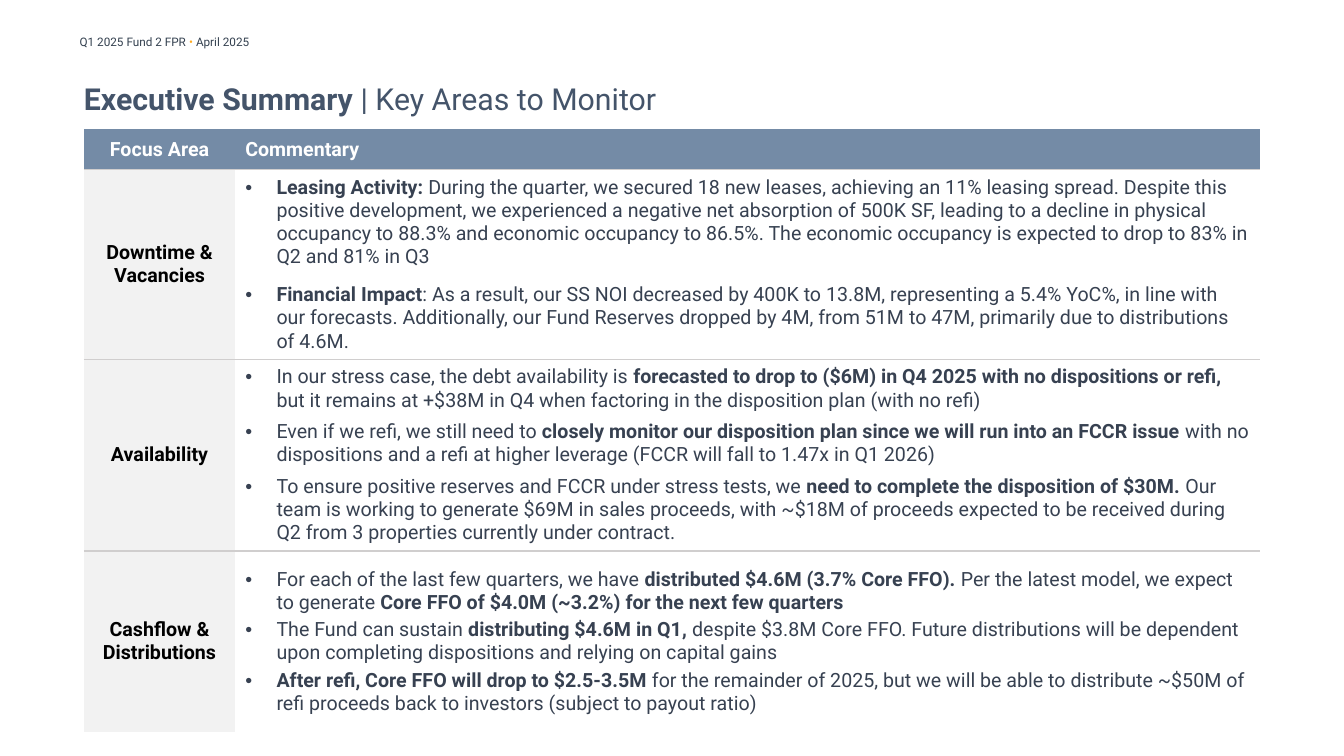
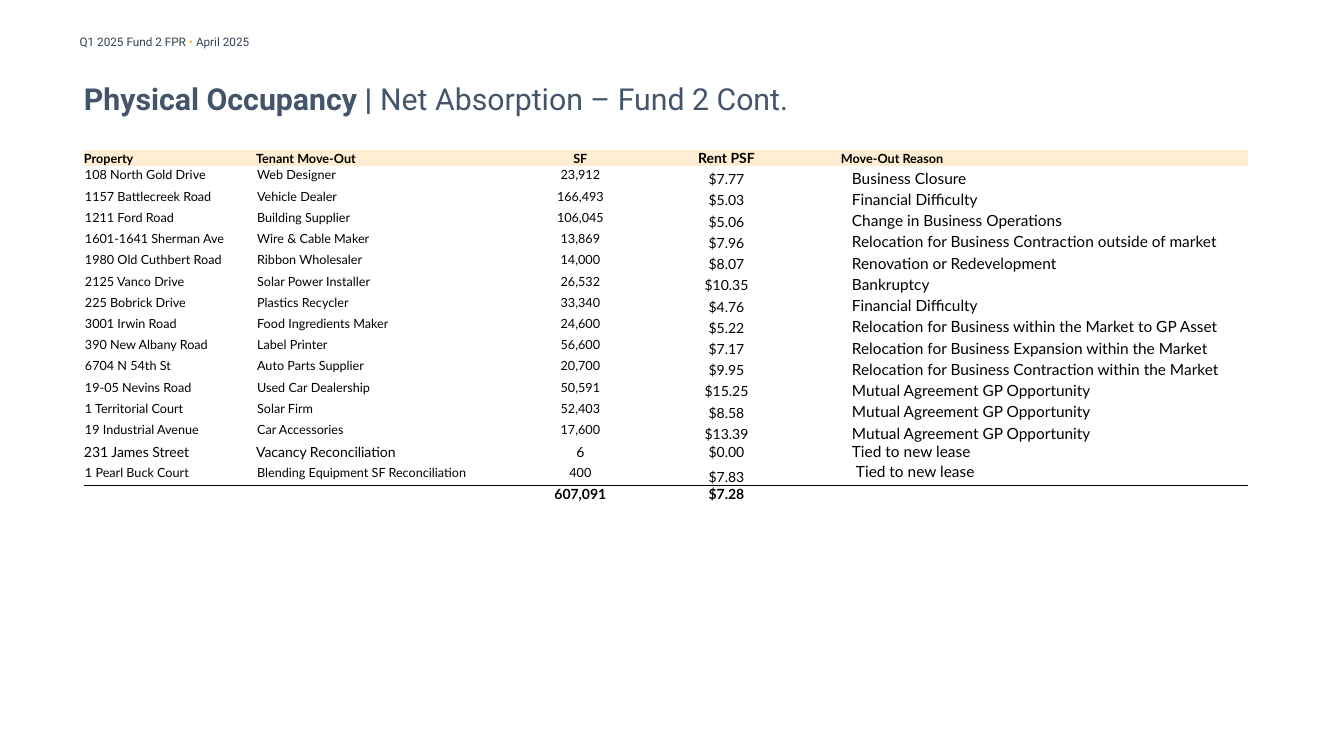
from lxml.etree import SubElement
from pptx import Presentation
from pptx.dml.color import RGBColor
from pptx.enum.text import MSO_ANCHOR, MSO_AUTO_SIZE, PP_ALIGN
from pptx.oxml import parse_xml
from pptx.oxml.ns import nsdecls, qn
from pptx.util import Inches, Pt

LEFT, CENTER = PP_ALIGN.LEFT, PP_ALIGN.CENTER
MIDDLE, BOTTOM = MSO_ANCHOR.MIDDLE, MSO_ANCHOR.BOTTOM
NO_TABLE_STYLE = "{2D5ABB26-0587-4C30-8999-92F81FD0307C}"
CELL_MARGINS = (0.1, 0.05, 0.1, 0.05)
FLUSH = (0, 0, 0, 0)
RAISED = (0.01, 0.01, 0.01, 0.05)


def color(hex_string):
    return RGBColor.from_string(hex_string)


def write(paragraph, text, font, size, ink, bold=False, align=LEFT):
    """Fill a paragraph; text between ** marks is set bold."""
    paragraph.alignment = align
    for index, part in enumerate(text.split("**")):
        if not part:
            continue
        run = paragraph.add_run()
        run.text = part
        run.font.name = font
        run.font.size = Pt(size)
        run.font.bold = bold or index % 2 == 1
        run.font.color.rgb = color(ink)


def add_bullet(paragraph, indent=0.31):
    properties = paragraph._p.get_or_add_pPr()
    properties.set("marL", str(Inches(indent)))
    properties.set("indent", str(-Inches(indent)))
    SubElement(properties, qn("a:buFont")).set("typeface", "Arial")
    SubElement(properties, qn("a:buChar")).set("char", "•")


def set_margins(target, margins):
    (target.margin_left, target.margin_top,
     target.margin_right, target.margin_bottom) = map(Inches, margins)


class Deck:
    """Shared style and the current slide, on a grid of 160 columns by 90 rows."""
    FONT, TABLE_FONT = "Roboto", "Lato"
    NAVY, SLATE, ACCENT = "44546A", "33404F", "FFAB21"
    STEEL, BODY, PALE, RULE = "748BA6", "374151", "F2F2F2", "D0CECE"
    BLACK, WHITE, CREAM = "000000", "FFFFFF", "FFEED3"

    def __init__(self):
        self.presentation = Presentation()
        self.presentation.slide_width = Inches(13.33)
        self.presentation.slide_height = Inches(7.5)
        self.layout = self.presentation.slide_layouts[5]
        self.slide = None

    def columns(self, count):
        return round(self.presentation.slide_width * count / 160)

    def rows(self, count):
        return round(self.presentation.slide_height * count / 90)

    def box(self, left, top, width, height):
        return (self.columns(left), self.rows(top),
                self.columns(width), self.rows(height))

    def add_slide(self, title):
        self.slide = self.presentation.slides.add_slide(self.layout)
        self.add_running_header()
        shape = self.slide.shapes.title
        shape.left, shape.top, shape.width, shape.height = self.box(10, 7.2, 132, 9)
        text_frame = shape.text_frame
        text_frame.auto_size = MSO_AUTO_SIZE.NONE
        text_frame.vertical_anchor = MIDDLE
        set_margins(text_frame, FLUSH)
        write(text_frame.paragraphs[0], title, self.FONT, 21.6, self.NAVY)

    def add_running_header(self):
        text_frame = self.slide.shapes.add_textbox(*self.box(8.3, 3.5, 54, 2.9)).text_frame
        text_frame.word_wrap = True
        paragraph = text_frame.paragraphs[0]
        write(paragraph, "Q1 2025 Fund 2 FPR **• **April 2025", self.FONT, 8.4, self.SLATE)
        dot = paragraph.runs[1]
        dot.font.bold = False
        dot.font.color.rgb = color(self.ACCENT)

    def add_table(self, left, top, widths, heights):
        frame = self.slide.shapes.add_table(
            len(heights), len(widths), *self.box(left, top, sum(widths), sum(heights)))
        table = frame.table
        table.first_row = table.horz_banding = False
        table._tbl.tblPr.find(qn("a:tableStyleId")).text = NO_TABLE_STYLE
        for column, width in zip(table.columns, widths):
            column.width = self.columns(width)
        for row, height in zip(table.rows, heights):
            row.height = self.rows(height)
        return table

    def style_cell(self, cell, fill=None, anchor=MIDDLE, margins=CELL_MARGINS):
        cell.vertical_anchor = anchor
        set_margins(cell, margins)
        if fill:
            cell.fill.solid()
            cell.fill.fore_color.rgb = color(fill)
        else:
            cell.fill.background()

    def fill_cell(self, cell, text, font, size, ink, bold=False, align=LEFT):
        paragraph = cell.text_frame.paragraphs[0]
        write(paragraph, text, font, size, ink, bold, align)
        if not text:
            SubElement(paragraph._p, qn("a:endParaRPr")).set("sz", str(size * 100))

    def add_bullets(self, cell, items, before, after):
        for index, item in enumerate(items):
            text_frame = cell.text_frame
            paragraph = text_frame.add_paragraph() if index else text_frame.paragraphs[0]
            paragraph.space_before = Pt(before if index else 0)
            paragraph.space_after = Pt(after)
            add_bullet(paragraph)
            write(paragraph, item, self.FONT, 14, self.BODY)

    def underline_row(self, table, row, ink):
        for column in range(len(table.columns)):
            properties = table.cell(row, column)._tc.get_or_add_tcPr()
            properties.insert(0, parse_xml(
                f'<a:lnB {nsdecls("a")} w="{Pt(1)}"><a:solidFill>'
                f'<a:srgbClr val="{ink}"/></a:solidFill></a:lnB>'))


# Focus area, space before and after each bullet, bullets
FOCUS_AREAS = [
    ("Downtime & Vacancies", 3, 7.5, [
        "**Leasing Activity: **During the quarter, we secured 18 new leases, achieving an 11% "
        "leasing spread. Despite this positive development, we experienced a negative net "
        "absorption of 500K SF, leading to a decline in physical occupancy to 88.3% and economic "
        "occupancy to 86.5%. The economic occupancy is expected to drop to 83% in Q2 and 81% in Q3",
        "**Financial Impact**: As a result, our SS NOI decreased by 400K to 13.8M, representing a "
        "5.4% YoC%, in line with our forecasts. Additionally, our Fund Reserves dropped by 4M, "
        "from 51M to 47M, primarily due to distributions of 4.6M."]),
    ("Availability", 6, 0, [
        "In our stress case, the debt availability is **forecasted to drop to ($6M) in Q4 2025 "
        "with no dispositions or refi, **but it remains at +$38M in Q4 when factoring in the "
        "disposition plan (with no refi)",
        "Even if we refi, we still need to **closely monitor our disposition plan since we will "
        "run into an FCCR issue **with no dispositions and a refi at higher leverage (FCCR will "
        "fall to 1.47x in Q1 2026)",
        "To ensure positive reserves and FCCR under stress tests, we **need to complete the "
        "disposition of $30M. **Our team is working to generate $69M in sales proceeds, with "
        "~$18M of proceeds expected to be received during Q2 from 3 properties currently under "
        "contract."]),
    ("Cashflow & Distributions", 3, 0, [
        "For each of the last few quarters, we have **distributed $4.6M (3.7% Core FFO). **Per "
        "the latest model, we expect to generate **Core FFO of $4.0M (~3.2%) for the next few "
        "quarters**",
        "The Fund can sustain **distributing $4.6M in Q1, **despite $3.8M Core FFO. Future "
        "distributions will be dependent upon completing dispositions and relying on capital gains",
        "**After refi, Core FFO will drop to $2.5-3.5M **for the remainder of 2025, but we will "
        "be able to distribute ~$50M of refi proceeds back to investors (subject to payout ratio)"]),
]

MOVE_OUT_HEADINGS = ("Property", "Tenant Move-Out", "SF", "Rent PSF", "Move-Out Reason")
MOVE_OUTS = [
    ("108 North Gold Drive", "Web Designer", "23,912", "$7.77", "Business Closure"),
    ("1157 Battlecreek Road", "Vehicle Dealer", "166,493", "$5.03", "Financial Difficulty"),
    ("1211 Ford Road", "Building Supplier", "106,045", "$5.06", "Change in Business Operations"),
    ("1601-1641 Sherman Ave", "Wire & Cable Maker", "13,869", "$7.96",
     "Relocation for Business Contraction outside of market"),
    ("1980 Old Cuthbert Road", "Ribbon Wholesaler", "14,000", "$8.07",
     "Renovation or Redevelopment"),
    ("2125 Vanco Drive", "Solar Power Installer", "26,532", "$10.35", "Bankruptcy"),
    ("225 Bobrick Drive", "Plastics Recycler", "33,340", "$4.76", "Financial Difficulty"),
    ("3001 Irwin Road", "Food Ingredients Maker", "24,600", "$5.22",
     "Relocation for Business within the Market to GP Asset"),
    ("390 New Albany Road", "Label Printer", "56,600", "$7.17",
     "Relocation for Business Expansion within the Market"),
    ("6704 N 54th St", "Auto Parts Supplier", "20,700", "$9.95",
     "Relocation for Business Contraction within the Market"),
    ("19-05 Nevins Road", "Used Car Dealership", "50,591", "$15.25",
     "Mutual Agreement GP Opportunity"),
    ("1 Territorial Court", "Solar Firm", "52,403", "$8.58", "Mutual Agreement GP Opportunity"),
    ("19 Industrial Avenue", "Car Accessories", "17,600", "$13.39",
     "Mutual Agreement GP Opportunity"),
    ("231 James Street", "Vacancy Reconciliation", "6", "$0.00", "Tied to new lease"),
    ("1 Pearl Buck Court", "Blending Equipment SF Reconciliation", "400", "$7.83",
     "Tied to new lease"),
]
MOVE_OUT_TOTALS = ("", "", "607,091", "$7.28", "")


def build_executive_summary(deck):
    deck.add_slide("**Executive Summary **| Key Areas to Monitor")
    table = deck.add_table(10, 15.4, (18, 122), (4.8, 22.2, 22.5, 21.6))
    for column, (heading, align) in enumerate((("Focus Area", CENTER), ("Commentary", LEFT))):
        cell = table.cell(0, column)
        deck.style_cell(cell, deck.STEEL)
        deck.fill_cell(cell, heading, deck.FONT, 14, deck.WHITE, True, align)
    for row, (area, before, after, items) in enumerate(FOCUS_AREAS, start=1):
        label, commentary = table.cell(row, 0), table.cell(row, 1)
        deck.style_cell(label, deck.PALE)
        deck.fill_cell(label, area, deck.FONT, 14, deck.BLACK, True, CENTER)
        deck.style_cell(commentary)
        deck.add_bullets(commentary, items, before, after)
        deck.underline_row(table, row - 1, deck.RULE)


def move_out_format(row, column, last):
    """Return text size and margins for a cell of the move-out table."""
    heading, total = row == 0, row == last
    reconciliation, closing = row == last - 2, row == last - 1
    if column == 5 and not total:
        if heading:
            return 9, (0.01, 0, 0, 0)
        return 11, (0.16, 0.01, 0.01, 0.05) if closing else (0.12, 0, 0, 0)
    if column == 4 or reconciliation or total:
        small = column == 4 and 2 <= row <= 7 and row != 6 and False
        return 9 if small else 10, FLUSH
    return 9, FLUSH if heading or column == 1 else RAISED


def build_net_absorption(deck):
    deck.add_slide("**Physical Occupancy | **Net Absorption – Fund 2 Cont.")
    records = [MOVE_OUT_HEADINGS, *MOVE_OUTS, MOVE_OUT_TOTALS]
    last = len(records) - 1
    heights = [2] + [2.5] * (last - 3) + [2.2, 2.9, 2]
    table = deck.add_table(10, 17.8, (18.4, 2.1, 34.7, 7.8, 27, 48.6), heights)
    for row, (place, *details) in enumerate(records):
        for column, text in enumerate((place, "", *details)):
            cell = table.cell(row, column)
            size, margins = move_out_format(row, column, last)
            deck.style_cell(cell, None if row else deck.CREAM, BOTTOM, margins)
            deck.fill_cell(cell, text, deck.TABLE_FONT, size, deck.BLACK,
                           row in (0, last), CENTER if column in (3, 4) else LEFT)
    deck.underline_row(table, last - 1, deck.BLACK)


def main():
    deck = Deck()
    build_executive_summary(deck)
    build_net_absorption(deck)
    deck.presentation.save("out.pptx")


if __name__ == "__main__":
    main()
